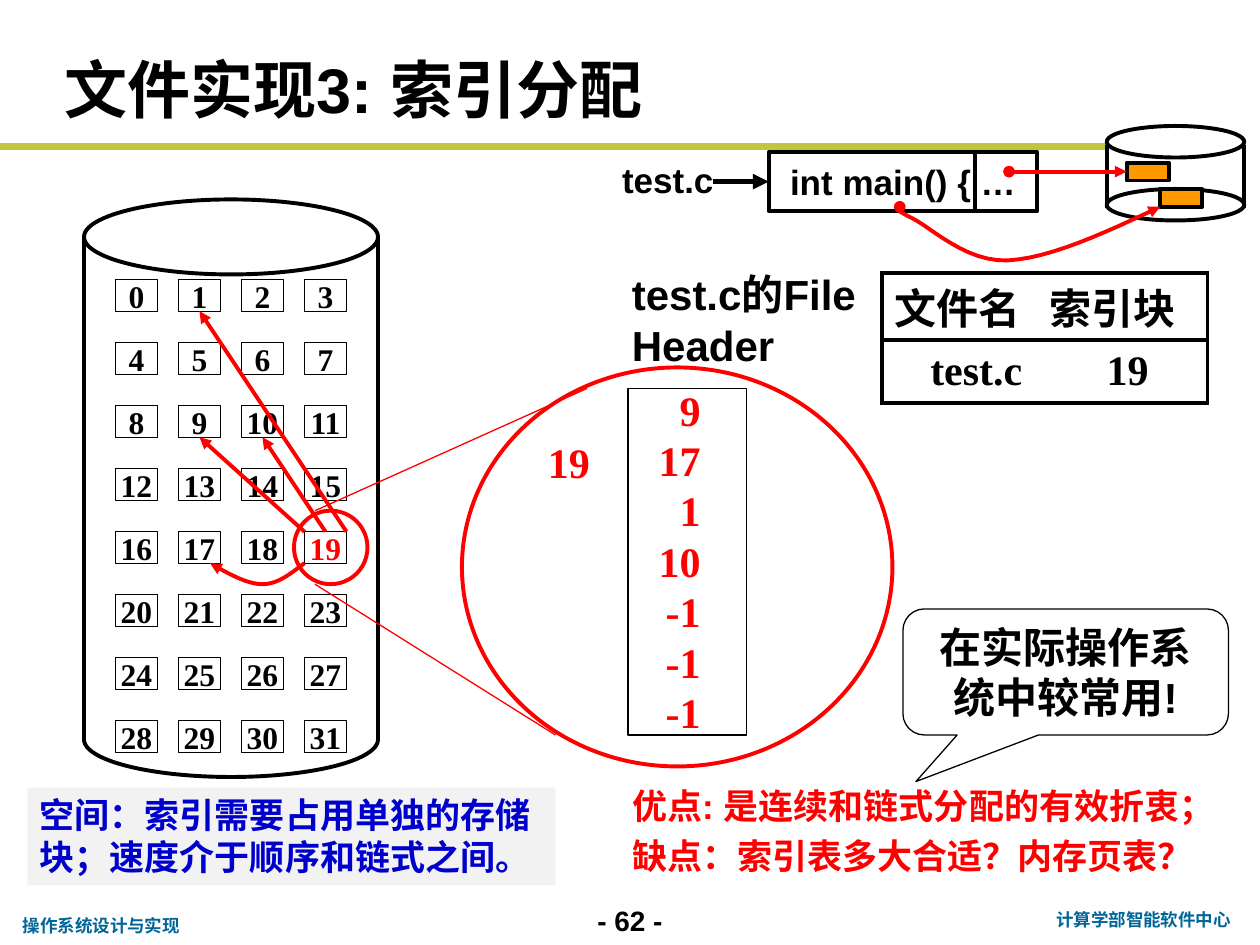
from lxml import etree
from pptx import Presentation
from pptx.dml.color import RGBColor
from pptx.enum.shapes import MSO_CONNECTOR, MSO_SHAPE
from pptx.enum.text import MSO_ANCHOR, PP_ALIGN
from pptx.oxml.ns import qn
from pptx.util import Inches, Pt

RECT, OVAL, CAN = MSO_SHAPE.RECTANGLE, MSO_SHAPE.OVAL, MSO_SHAPE.CAN
CALLOUT = MSO_SHAPE.ROUNDED_RECTANGULAR_CALLOUT
STRAIGHT = MSO_CONNECTOR.STRAIGHT
LEFT, CENTER, RIGHT = PP_ALIGN.LEFT, PP_ALIGN.CENTER, PP_ALIGN.RIGHT
TOP, MIDDLE = MSO_ANCHOR.TOP, MSO_ANCHOR.MIDDLE
SIDE_TOP, SIDE_LEFT, SIDE_BOTTOM = 0, 1, 2

BLACK, WHITE, RED, BLUE = "000000", "FFFFFF", "FF0000", "0000CC"
TEAL, OLIVE, ORANGE, GREY = "006699", "C1C43C", "FF9900", "F2F2F2"
SANS, SERIF = "Arial", "Times New Roman"
THIN, THICK = 0.75, 2.25


def color(value):
    return RGBColor.from_string(value)


def grid(cells):
    """Turn cells of a 120 x 90 grid into a length."""
    return Inches(cells / 12)


class Board:
    def __init__(self, slide):
        self.slide = slide
        self.shapes = slide.shapes

    def set_text(self, frame, text, size=20, ink=BLACK, font=SANS, align=LEFT,
                 anchor=TOP, wrap=True, spacing=None):
        frame.text = text
        frame.word_wrap = wrap
        frame.vertical_anchor = anchor
        for paragraph in frame.paragraphs:
            paragraph.alignment = align
            if spacing:
                paragraph.line_spacing = spacing
            for run in paragraph.runs:
                run.font.size, run.font.bold = Pt(size), True
                run.font.name, run.font.color.rgb = font, color(ink)

    def text(self, box, text, **style):
        label = self.shapes.add_textbox(*map(grid, box))
        self.set_text(label.text_frame, text, **style)
        return label

    def shape(self, kind, box, fill=None, line=BLACK, width=THICK, adjust=()):
        shape = self.shapes.add_shape(kind, *map(grid, box))
        for i, value in enumerate(adjust):
            shape.adjustments[i] = value
        self.paint(shape, fill, line, width)
        return shape

    def paint(self, shape, fill, line, width):
        shape.shadow.inherit = False
        if fill:
            shape.fill.solid()
            shape.fill.fore_color.rgb = color(fill)
        else:
            shape.fill.background()
        if line:
            shape.line.color.rgb = color(line)
            shape.line.width = Pt(width)
        else:
            shape.line.fill.background()

    def ends(self, shape, head, tail):
        for tag, kind in (("a:headEnd", head), ("a:tailEnd", tail)):
            if kind:
                outline = shape._element.spPr.find(qn("a:ln"))
                etree.SubElement(outline, qn(tag), type=kind)

    def line(self, start, end, ink=BLACK, width=THICK, head=None, tail=None,
             begin_at=None, end_at=None):
        line = self.shapes.add_connector(STRAIGHT, *map(grid, start + end))
        if begin_at:
            line.begin_connect(*begin_at)
        if end_at:
            line.end_connect(*end_at)
        line.line.color.rgb = color(ink)
        line.line.width = Pt(width)
        self.ends(line, head, tail)
        etree.SubElement(line._element.spPr, qn("a:effectLst"))

    def curve(self, start, *beziers, head=None, tail="triangle", steps=12):
        """Draw a red arrow along cubic Bezier pieces."""
        points, p0 = [], start
        for p1, p2, p3 in beziers:
            for t in (i / steps for i in range(1, steps + 1)):
                u = 1 - t
                points.append(tuple(
                    grid(u**3 * a + 3 * u * u * t * b + 3 * u * t * t * c + t**3 * d)
                    for a, b, c, d in zip(p0, p1, p2, p3)))
            p0 = p3
        builder = self.shapes.build_freeform(*map(grid, start))
        builder.add_line_segments(points, close=False)
        arrow = builder.convert_to_shape()
        self.paint(arrow, None, RED, THICK)
        self.ends(arrow, head, tail)

    def table(self, box, rows, widths, heights, indents):
        table = self.shapes.add_table(len(rows), len(widths), *map(grid, box)).table
        table.first_row = table.horz_banding = False
        for column, width in zip(table.columns, widths):
            column.width = grid(width)
        for r, (row, height) in enumerate(zip(rows, heights)):
            table.rows[r].height = grid(height)
            for c, value in enumerate(row):
                cell = table.cell(r, c)
                self.set_text(cell.text_frame, value, size=24, font=SERIF)
                cell.vertical_anchor = MIDDLE
                cell.margin_left = grid(indents[r][c])
                cell.margin_right = 0
                cell.margin_top = cell.margin_bottom = Inches(0.02)
                cell.fill.background()
                self.borders(cell, c == 0, c == len(row) - 1)

    def borders(self, cell, left, right):
        sides = (("a:lnL", left), ("a:lnR", right), ("a:lnT", True), ("a:lnB", True))
        for i, (tag, shown) in enumerate(sides):
            edge = etree.Element(qn(tag), w=str(Pt(THICK)))
            fill = etree.SubElement(edge, qn("a:solidFill" if shown else "a:noFill"))
            if shown:
                etree.SubElement(fill, qn("a:srgbClr"), val=BLACK)
            cell._tc.get_or_add_tcPr().insert(i, edge)


def frame(board):
    """Title, rule and footer."""
    board.line((0, 14), (105.4, 14), OLIVE, 4)
    board.text((5, 4, 103, 8.9), "文件实现3: 索引分配", size=36, anchor=MIDDLE)
    board.text((54, 85.5, 12, 4.4), "- 62 -", size=16, align=CENTER)
    board.text((99, 86, 19.8, 3.2), "计算学部智能软件中心", size=10, ink=TEAL,
               align=CENTER, wrap=False)
    board.text((1, 86.6, 17.5, 3.2), "操作系统设计与实现", size=10, ink=TEAL, wrap=False)


def file_on_disk(board):
    """The file's contents and where they lie on the small disk."""
    for y in (12, 18):
        board.shape(OVAL, (105.4, y, 13.1, 3), WHITE)
    for x in (105.4, 118.5):
        board.line((x, 13.8), (x, 19.8))
    board.shape(RECT, (110.5, 18, 4, 1.7), ORANGE)
    contents = board.shape(RECT, (73.2, 14.5, 25.6, 5.6), WHITE)
    board.set_text(contents.text_frame, "int main() { …", align=CENTER, anchor=MIDDLE)
    board.text((58, 14.5, 11.2, 5.2), "test.c", align=CENTER, anchor=MIDDLE, wrap=False)
    board.line((67.9, 17.3), (73.2, 17.3), width=3, tail="triangle",
               end_at=(contents, SIDE_LEFT))
    board.line((92.9, 14.5), (92.9, 20.1))
    board.curve((85.7, 19.7),
                ((85.3, 19.8), (85.1, 19.9), (86.9, 20.8)),
                ((88.6, 21.6), (92, 25), (96, 24.8)),
                ((100, 24.6), (105.2, 22.2), (110.5, 19.7)), head="oval")
    upper_block = board.shape(RECT, (107.3, 15.5, 4, 1.7), ORANGE)
    board.line((96.1, 16.35), (107.3, 16.35), RED, head="oval", tail="triangle",
               end_at=(upper_block, SIDE_LEFT))


def indexed_disk(board):
    """Numbered disk blocks, with arrows from index block 19 to its data."""
    index, first_row, pitch, columns = 19, 26.64, 6, 4
    blocks = []
    for number in range(32):
        row, column = divmod(number, columns)
        block = board.shape(RECT, (11 + pitch * column, first_row + pitch * row, 4, 3),
                            width=THIN)
        board.set_text(block.text_frame, str(number), size=18, font=SERIF, align=CENTER,
                       ink=RED if number == index else BLACK, anchor=MIDDLE, wrap=False)
        blocks.append(block)
    board.shape(CAN, (8, 19, 28, 55), adjust=(0.255,))
    board.shape(OVAL, (28, 48.64, 7, 7), line=RED)
    for x, target, joint in ((33, 1, None), (31, 10, (blocks[index], SIDE_TOP)),
                             (29, 9, None)):
        board.line((x, 50.64), (x, 50.64), RED, tail="triangle", begin_at=joint,
                   end_at=(blocks[target], SIDE_BOTTOM))
    board.curve((29, 53.64),
                ((27.7, 54.6), (26.5, 55.64), (25, 55.64)),
                ((23.5, 55.64), (21.7, 54.6), (20, 53.64)))


def index_block(board):
    """Block 19 enlarged."""
    entries = "\n".join(map(str, (9, 17, 1, 10, -1, -1, -1)))
    board.text((60, 36, 7.9, 34.8), entries, size=24, ink=RED, font=SERIF,
               align=RIGHT, spacing=Pt(28.8))
    board.shape(RECT, (59.8, 37, 11.3, 33), width=THIN)
    board.shape(OVAL, (44, 35, 41, 38), line=RED)
    board.text((51, 41, 6.4, 6), "19", size=24, ink=RED, font=SERIF, wrap=False)
    board.line((30, 48.64), (55.9, 37), RED, THIN)
    board.line((30, 55.64), (52.9, 70), RED, THIN)


def file_header(board):
    """Directory entry that points to the index block."""
    board.table((84, 26, 31, 12.4), (("文件名", "索引块"), ("test.c", "19")),
                widths=(14.8, 16.2), heights=(6.4, 6),
                indents=((1.2, 1.2), (4.6, 6.6)))
    board.text((59, 25, 37.5, 10.8), "test.c的File Header", size=24)


def remarks(board):
    """Verdict, callout and cost of the method."""
    verdict = board.text((53, 73.3, 64, 10.9),
                         "优点: 是连续和链式分配的有效折衷；\n缺点：索引表多大合适？内存页表？",
                         ink=RED, spacing=1.2)
    verdict.text_frame.margin_left = grid(7.2)
    callout = board.shape(CALLOUT, (86, 58, 31, 12), WHITE, width=THIN,
                          adjust=(-0.46, 0.87, 0.17))
    board.set_text(callout.text_frame, "在实际操作系统中较常用!", size=24,
                   align=CENTER, anchor=MIDDLE)
    cost = board.shape(RECT, (2.6, 75, 50.3, 9.3), GREY, line=None)
    board.set_text(cost.text_frame, "空间：索引需要占用单独的存储块；速度介于顺序和链式之间。",
                   ink=BLUE)


def main():
    deck = Presentation()
    deck.slide_width, deck.slide_height = grid(120), grid(90)
    board = Board(deck.slides.add_slide(deck.slide_layouts[6]))
    for part in (frame, file_on_disk, indexed_disk, index_block, file_header, remarks):
        part(board)
    deck.save("out.pptx")


if __name__ == "__main__":
    main()
